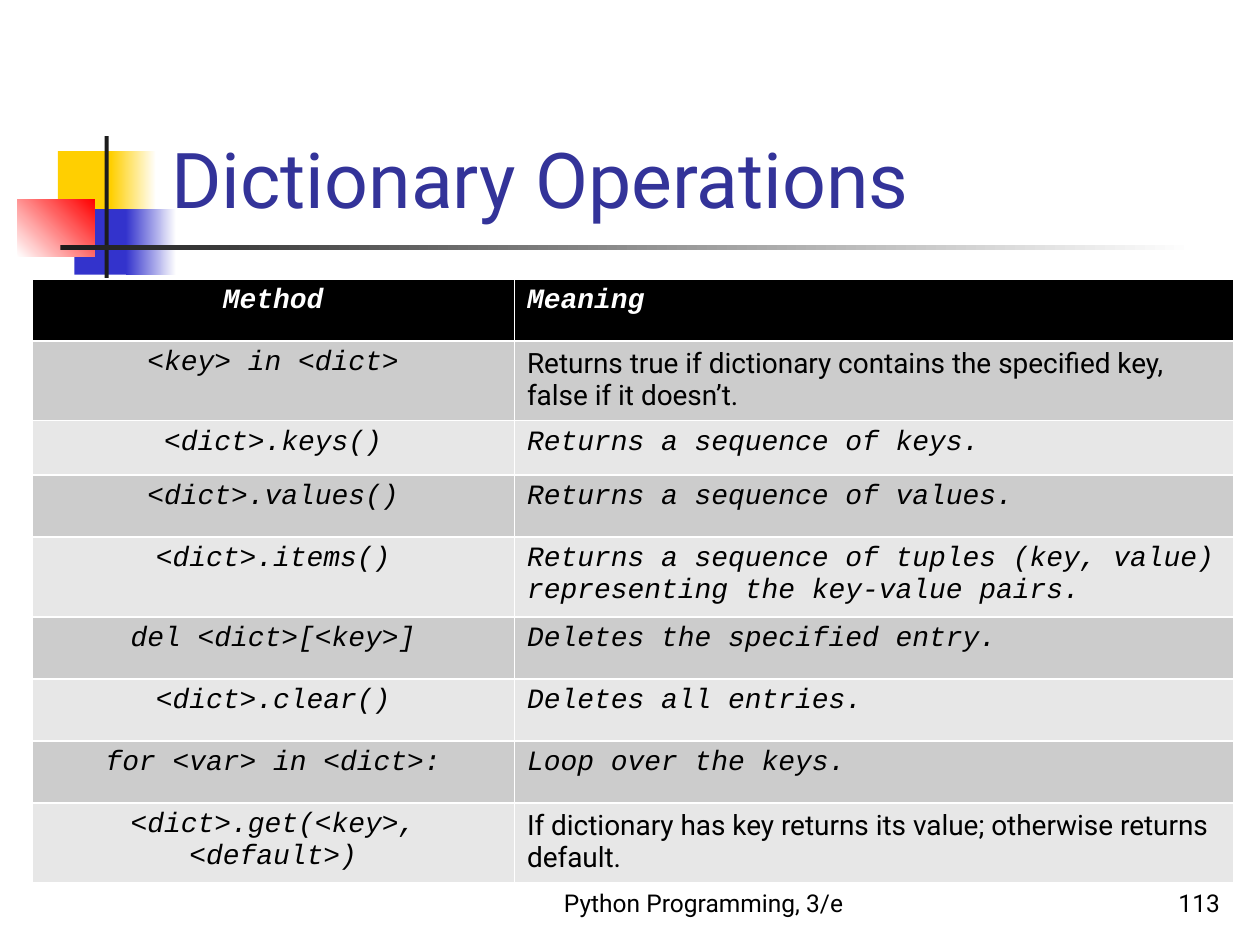
from pptx import Presentation
from pptx.dml.color import RGBColor
from pptx.enum.shapes import MSO_SHAPE
from pptx.enum.text import MSO_ANCHOR, PP_ALIGN
from pptx.util import Pt

THEME = {
    "sans": "Roboto", "mono": "Courier New",
    "title_size": 44, "cell_size": 16, "footer_size": 14,
    "title": "333399", "text": "000000", "paper": "FFFFFF",
    "yellow": "FFCF01", "blue": "3333CC", "red": "FF0000", "ink": "1C1C1C",
    "header": "000000", "bands": ("CCCCCC", "E7E7E7"),
}

TITLE = ("Dictionary Operations", (90.72, 16.56, 613.44, 115.2))
FOOTERS = [
    ("Python Programming, 3/e", (288, 491.76, 228.24, 36), PP_ALIGN.CENTER),
    ("113", (554.4, 491.76, 149.76, 36), PP_ALIGN.RIGHT),
]
ORNAMENTS = [
    ((33.12, 86.4, 34.56, 37.44), ("yellow",), 0),
    ((63.36, 86.4, 25.92, 37.44), ("yellow", "paper"), 0),
    ((42.48, 119.52, 33.12, 37.44), ("blue",), 0),
    ((72, 119.52, 28.8, 37.44), ("blue", "paper"), 0),
    ((10.08, 113.76, 43.92, 33.12), ("paper", "red"), 45),
    ((59.76, 77.76, 2.4, 82.8), ("ink",), 0),
    ((34.56, 140.2, 648, 2.5), ("ink", "paper"), 0),
]
METHODS = [
    ("Method", "Meaning", "mono"),
    ("<key> in <dict>", "Returns true if dictionary contains the specified key, false if it doesn’t.", "sans"),
    ("<dict>.keys()", "Returns a sequence of keys.", "mono"),
    ("<dict>.values()", "Returns a sequence of values.", "mono"),
    ("<dict>.items()", "Returns a sequence of tuples (key, value) representing the key-value pairs.", "mono"),
    ("del <dict>[<key>]", "Deletes the specified entry.", "mono"),
    ("<dict>.clear()", "Deletes all entries.", "mono"),
    ("for <var> in <dict>:", "Loop over the keys.", "mono"),
    ("<dict>.get(<key>, <default>)", "If dictionary has key returns its value; otherwise returns default.", "sans"),
]
TABLE_LEFT, TABLE_TOP = 18.2, 159.3
COLUMN_WIDTHS = (275.8, 411.1)
ROW_HEIGHT, KEYS_ROW, KEYS_HEIGHT = 35.5, 2, 31


def color(name):
    return RGBColor.from_string(THEME.get(name, name))


def points(box):
    return [Pt(length) for length in box]


def write(frame, words, align, ink, **font_values):
    frame.text = words
    paragraph = frame.paragraphs[0]
    paragraph.alignment = align
    paragraph.space_before = Pt(0)
    font = paragraph.runs[0].font
    for attribute, value in font_values.items():
        setattr(font, attribute, value)
    font.color.rgb = color(ink)


def add_ornament(slide, box, stops, angle):
    ornament = slide.shapes.add_shape(MSO_SHAPE.RECTANGLE, *points(box))
    ornament.shadow.inherit = False
    ornament.line.fill.background()
    if len(stops) == 1:
        ornament.fill.solid()
        ornament.fill.fore_color.rgb = color(stops[0])
        return
    ornament.fill.gradient()
    ornament.fill.gradient_angle = angle
    for stop, name in zip(ornament.fill.gradient_stops, stops):
        stop.color.rgb = color(name)


def add_title(slide):
    words, box = TITLE
    title = slide.shapes.title
    title.left, title.top, title.width, title.height = points(box)
    title.text_frame.vertical_anchor = MSO_ANCHOR.BOTTOM
    write(title.text_frame, words, PP_ALIGN.LEFT, "title",
          name=THEME["sans"], size=Pt(THEME["title_size"]))


def add_footer(slide, words, box, align):
    frame = slide.shapes.add_textbox(*points(box)).text_frame
    frame.word_wrap = True
    frame.vertical_anchor = MSO_ANCHOR.BOTTOM
    write(frame, words, align, "text",
          name=THEME["sans"], size=Pt(THEME["footer_size"]))


def add_methods(slide):
    heights = [KEYS_HEIGHT if i == KEYS_ROW else ROW_HEIGHT for i in range(len(METHODS))]
    box = (TABLE_LEFT, TABLE_TOP, sum(COLUMN_WIDTHS), sum(heights))
    table = slide.shapes.add_table(len(METHODS), len(COLUMN_WIDTHS), *points(box)).table
    for column, width in zip(table.columns, COLUMN_WIDTHS):
        column.width = Pt(width)
    for i, (method, meaning, meaning_face) in enumerate(METHODS):
        table.rows[i].height = Pt(heights[i])
        is_header = i == 0
        band = THEME["header"] if is_header else THEME["bands"][(i - 1) % 2]
        entries = [(method, "mono", PP_ALIGN.CENTER), (meaning, meaning_face, PP_ALIGN.LEFT)]
        for cell, (words, face, align) in zip(table.rows[i].cells, entries):
            cell.fill.solid()
            cell.fill.fore_color.rgb = color(band)
            write(cell.text_frame, words, align, "paper" if is_header else "text",
                  name=THEME[face], size=Pt(THEME["cell_size"]),
                  bold=is_header, italic=face == "mono")


def main():
    deck = Presentation()
    deck.slide_width, deck.slide_height = Pt(720), Pt(540)
    slide = deck.slides.add_slide(deck.slide_layouts[5])
    for box, stops, angle in ORNAMENTS:
        add_ornament(slide, box, stops, angle)
    for words, box, align in FOOTERS:
        add_footer(slide, words, box, align)
    add_title(slide)
    add_methods(slide)
    deck.save("out.pptx")


if __name__ == "__main__":
    main()
